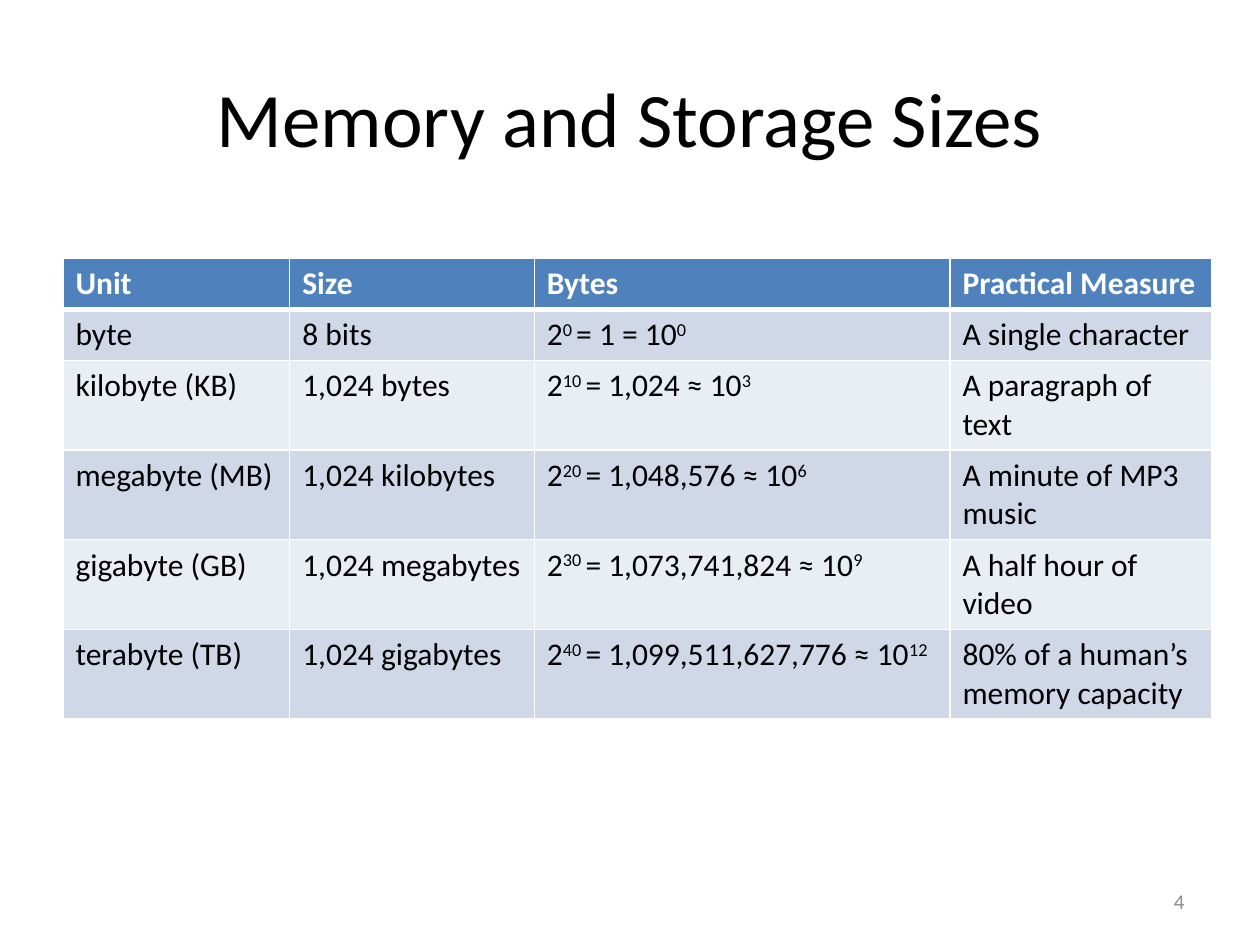
from dataclasses import dataclass

from lxml.etree import SubElement
from pptx import Presentation
from pptx.dml.color import RGBColor
from pptx.enum.text import MSO_ANCHOR as Anchor, PP_ALIGN as Align
from pptx.oxml.ns import qn
from pptx.util import Cm, Pt

FONT = "Calibri"
WHITE, BLACK, GREY = "FFFFFF", "000000", "8C8C8C"
HEADER_BLUE, BAND_DARK, BAND_LIGHT = "4F81BD", "D0D8E8", "E9EDF4"
HEADINGS = ["Unit", "Size", "Bytes", "Practical Measure"]
COLUMN_WIDTHS = [4.57, 4.93, 8.38, 5.28]
ROW_HEIGHT = 1.03


@dataclass
class Unit:
    name: str
    size: str
    binary_power: str
    equation: str
    decimal_power: str
    measure: str


UNITS = [
    Unit("byte", "8 bits", "0 ", "= 1 = 10", "0", "A single character"),
    Unit("kilobyte (KB)", "1,024 bytes", "10 ", "= 1,024 ≈ 10", "3 ",
         "A paragraph of text"),
    Unit("megabyte (MB)", "1,024 kilobytes", "20 ", "= 1,048,576 ≈ 10", "6 ",
         "A minute of MP3 music"),
    Unit("gigabyte (GB)", "1,024 megabytes", "30 ", "= 1,073,741,824 ≈ 10", "9",
         "A half hour of video"),
    Unit("terabyte (TB)", "1,024 gigabytes", "40 ", "= 1,099,511,627,776 ≈ 10", "12",
         "80% of a human’s memory capacity"),
]


def rgb(value: str) -> RGBColor:
    return RGBColor.from_string(value)


def format_runs(paragraph, size: float, color: str, bold: bool = False) -> None:
    for run in paragraph.runs:
        run.font.name = FONT
        run.font.size = Pt(size)
        run.font.bold = bold
        run.font.color.rgb = rgb(color)


def place(shape, left: float, top: float, width: float, height: float) -> None:
    shape.left, shape.top = Cm(left), Cm(top)
    shape.width, shape.height = Cm(width), Cm(height)


def add_borders(cell, bottom: float) -> None:
    properties = cell._tc.get_or_add_tcPr()
    sides = {"a:lnL": 1, "a:lnR": 1, "a:lnT": 1, "a:lnB": bottom}
    for position, (side, width) in enumerate(sides.items()):
        line = SubElement(properties, qn(side), w=str(Pt(width)))
        SubElement(SubElement(line, qn("a:solidFill")), qn("a:srgbClr"), val=WHITE)
        properties.insert(position, line)


def fill_cell(cell, parts: list[str], fill: str, color: str, header: bool) -> None:
    """Write the parts as runs, raising every second one."""
    paragraph = cell.text_frame.paragraphs[0]
    for index, part in enumerate(parts):
        run = paragraph.add_run()
        run.text = part
        if index % 2:
            run._r.get_or_add_rPr().set("baseline", "30000")
    format_runs(paragraph, 18, color, bold=header)
    cell.fill.solid()
    cell.fill.fore_color.rgb = rgb(fill)
    add_borders(cell, bottom=3 if header else 1)


deck = Presentation()
deck.slide_width, deck.slide_height = Cm(25.4), Cm(19.05)
slide = deck.slides.add_slide(deck.slide_layouts[5])

# Title
title = slide.shapes.title
place(title, 1.27, 0.76, 22.86, 3.18)
title.text_frame.text = "Memory and Storage Sizes"
title.text_frame.vertical_anchor = Anchor.MIDDLE
title.text_frame.paragraphs[0].alignment = Align.CENTER
format_runs(title.text_frame.paragraphs[0], 44, BLACK)

# Table of units
row_count = len(UNITS) + 1
sizes = slide.shapes.add_table(
    row_count, len(HEADINGS), Cm(1.27), Cm(5.21),
    Cm(sum(COLUMN_WIDTHS)), Cm(ROW_HEIGHT * row_count)).table
for column, width in zip(sizes.columns, COLUMN_WIDTHS):
    column.width = Cm(width)
for row in sizes.rows:
    row.height = Cm(ROW_HEIGHT)

for column, heading in enumerate(HEADINGS):
    fill_cell(sizes.cell(0, column), [heading], HEADER_BLUE, WHITE, header=True)
for row, unit in enumerate(UNITS, start=1):
    band = BAND_DARK if row % 2 else BAND_LIGHT
    byte_parts = ["2", unit.binary_power, unit.equation, unit.decimal_power]
    entries = [[unit.name], [unit.size], byte_parts, [unit.measure]]
    for column, parts in enumerate(entries):
        fill_cell(sizes.cell(row, column), parts, band, BLACK, header=False)

# Page number
page_number = slide.shapes.add_textbox(Cm(18.21), Cm(17.65), Cm(5.92), Cm(1.02))
page_number.text_frame.word_wrap = True
page_number.text_frame.vertical_anchor = Anchor.MIDDLE
page_number.text_frame.text = "4"
page_number.text_frame.paragraphs[0].alignment = Align.RIGHT
format_runs(page_number.text_frame.paragraphs[0], 12, GREY)

deck.save("out.pptx")
